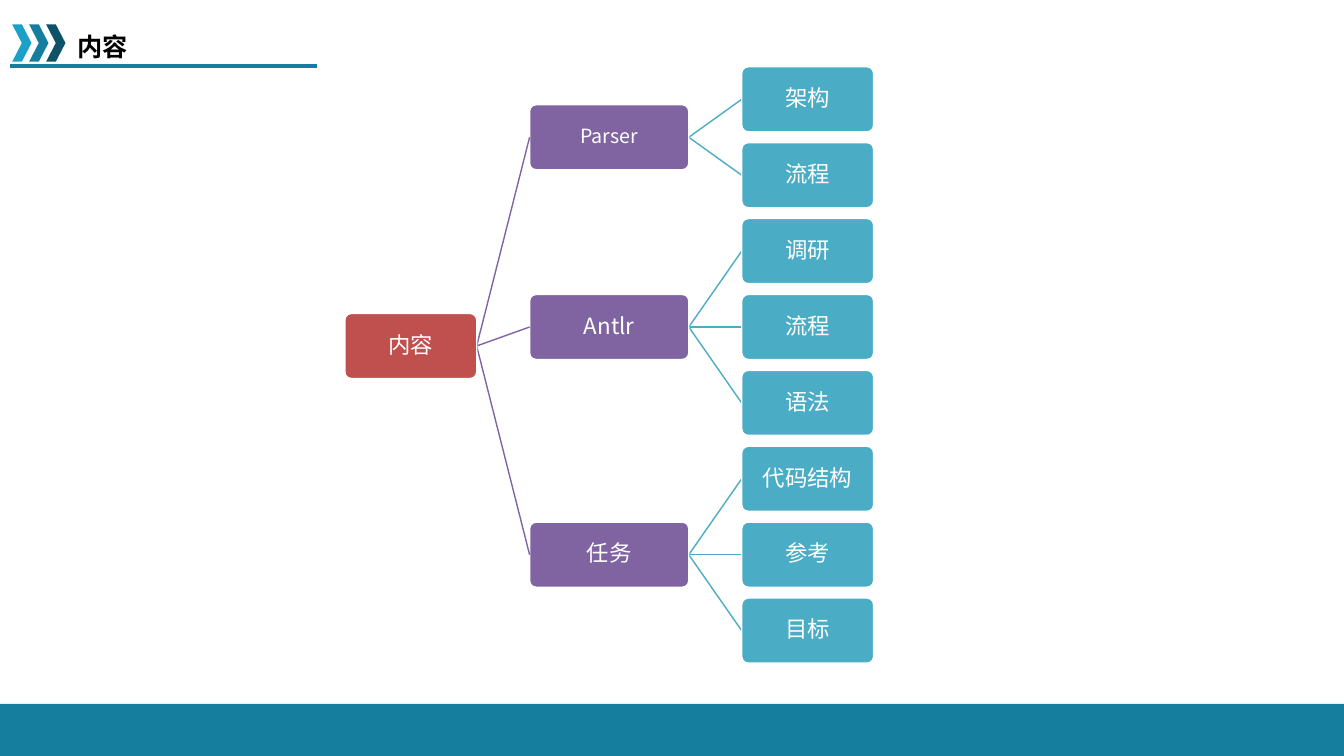
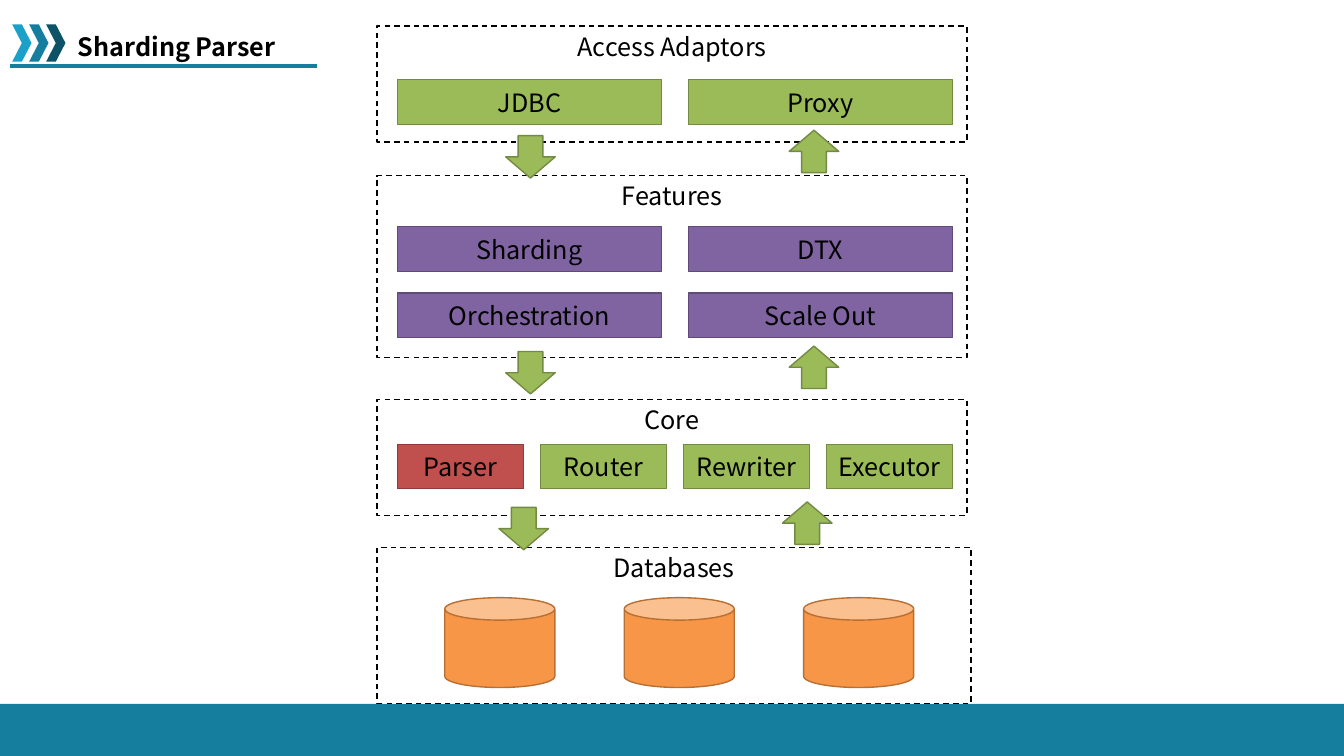
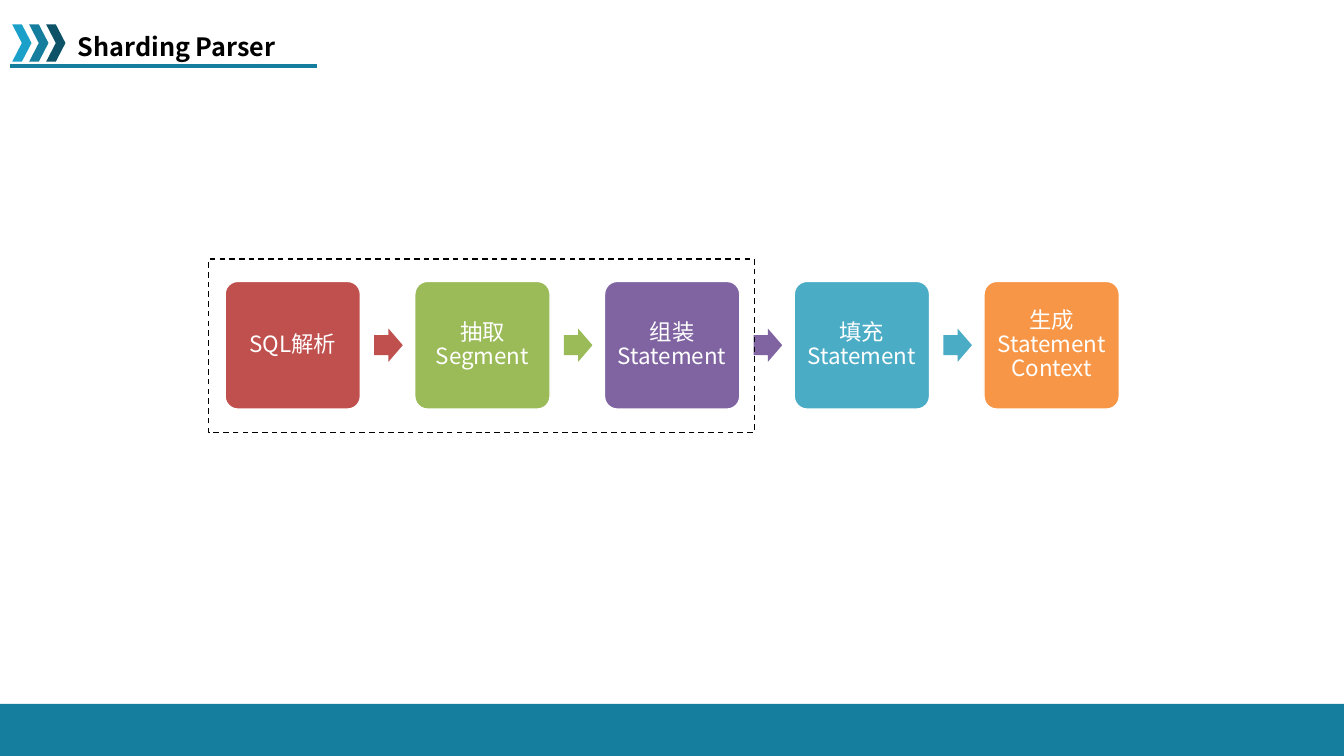
from collections import namedtuple

from lxml.etree import SubElement
from pptx import Presentation
from pptx.dml.color import RGBColor
from pptx.enum.dml import MSO_LINE
from pptx.enum.shapes import MSO_CONNECTOR, MSO_SHAPE as Shape
from pptx.enum.text import MSO_ANCHOR as Anchor, MSO_AUTO_SIZE, PP_ALIGN as Align
from pptx.oxml.ns import qn
from pptx.util import Inches, Pt

COLUMNS, ROWS = 160, 90
FONT = "Noto Sans CJK SC"
TEAL, SKY, NAVY = "157E9F", "1BA0C9", "0D5267"
RED, GREEN, PURPLE, AQUA, ORANGE = "C0504D", "9BBB59", "8064A2", "4BACC6", "F79646"
BLACK, WHITE = "000000", "FFFFFF"
EDGES = {RED: "8E3B39", GREEN: "738A42", PURPLE: "5F4A78", ORANGE: "B76F34"}

Box = namedtuple("Box", "left top width height")

deck = Presentation()
deck.slide_width, deck.slide_height = Inches(13.333), Inches(7.5)
layout = deck.slide_layouts[5]


def across(columns):
    return round(deck.slide_width * columns / COLUMNS)


def down(rows):
    return round(deck.slide_height * rows / ROWS)


def place(box):
    return across(box.left), down(box.top), across(box.width), down(box.height)


def color(value):
    return RGBColor.from_string(value)


def write(frame, text, size=18, ink=BLACK, bold=False, align=Align.CENTER,
          anchor=Anchor.MIDDLE, wrap=True, inset=None, spacing=1.0):
    frame.word_wrap = wrap
    frame.auto_size = MSO_AUTO_SIZE.NONE
    frame.vertical_anchor = anchor
    if inset is not None:
        frame.margin_left = frame.margin_right = Inches(inset)
        frame.margin_top = frame.margin_bottom = Inches(inset)
    para = frame.paragraphs[0]
    para.alignment = align
    para.line_spacing = spacing
    span = para.add_run()
    span.text = text
    span.font.size = Pt(size)
    span.font.bold = bold
    span.font.color.rgb = color(ink)
    span.font.name = FONT
    SubElement(span.font._element, qn("a:ea"), typeface=FONT)


def draw(page, kind, box, fill=None, line=None, dashed=False, adjust=()):
    shape = page.shapes.add_shape(kind, *place(box))
    shape.shadow.inherit = False
    if fill:
        shape.fill.solid()
        shape.fill.fore_color.rgb = color(fill)
    else:
        shape.fill.background()
    if line:
        shape.line.color.rgb = color(line)
        shape.line.width = Pt(1)
        if dashed:
            shape.line.dash_style = MSO_LINE.DASH
    else:
        shape.line.fill.background()
    for index, value in enumerate(adjust):
        shape.adjustments[index] = value
    return shape


def connect(page, start, end, ink, weight=1):
    line = page.shapes.add_connector(
        MSO_CONNECTOR.STRAIGHT, across(start[0]), down(start[1]), across(end[0]), down(end[1]))
    line.line.color.rgb = color(ink)
    line.line.width = Pt(weight)
    SubElement(line.element.spPr, qn("a:effectLst"))
    return line


def furnish_layout(page):
    parts = [draw(page, Shape.RECTANGLE, Box(0, 83.8, COLUMNS, 6.2), TEAL),
             connect(page, (1.2, 7.9), (37.7, 7.9), TEAL, 3)]
    for index, shade in enumerate((SKY, TEAL, NAVY)):
        parts.append(draw(page, Shape.CHEVRON, Box(1.45 + 2.02 * index, 2.9, 2.3, 4.45), shade))
    for number, part in enumerate(parts, 100):
        part.element[0][0].set("id", str(number))
        layout.shapes.element.append(part.element)


def add_page(title, width):
    page = deck.slides.add_slide(layout)
    heading = page.shapes.title
    heading.left, heading.top, heading.width, heading.height = place(Box(8.05, 3.1, width, 4.8))
    write(heading.text_frame, title, bold=True, align=Align.LEFT, anchor=Anchor.TOP, wrap=False)
    return page


def add_tree(page, box, root, branches):
    node_width, branch_width, node_height = 15.7, 18.95, 7.75
    gap = (box.width - 2 * node_width - branch_width) / 2
    branch_left = box.left + node_width + gap
    leaf_left = branch_left + branch_width + gap
    leaf_count = sum(len(leaves) for _, _, leaves in branches)
    pitch = (box.height - node_height) / (leaf_count - 1)

    def add_node(text, left, middle, width, fill, size=16):
        node = draw(page, Shape.ROUNDED_RECTANGLE,
                    Box(left, middle - node_height / 2, width, node_height), fill, WHITE, adjust=[0.1])
        write(node.text_frame, text, size=size, ink=WHITE, inset=0.01, spacing=0.9)

    middles = []
    middle = box.top + node_height / 2
    for name, size, leaves in branches:
        leaf_middles = [middle + pitch * index for index in range(len(leaves))]
        middle += pitch * len(leaves)
        center = sum(leaf_middles) / len(leaves)
        middles.append(center)
        for leaf, leaf_middle in zip(leaves, leaf_middles):
            connect(page, (branch_left + branch_width, center), (leaf_left, leaf_middle), AQUA)
            add_node(leaf, leaf_left, leaf_middle, node_width, AQUA)
        add_node(name, branch_left, center, branch_width, PURPLE, size)
    root_middle = (middles[0] + middles[-1]) / 2
    for center in middles:
        connect(page, (box.left + node_width, root_middle), (branch_left, center), PURPLE)
    add_node(root, box.left, root_middle, node_width, RED)


def add_panel(page, box, title):
    panel = draw(page, Shape.RECTANGLE, box, WHITE, BLACK, dashed=True)
    write(panel.text_frame, title, anchor=Anchor.TOP)


def add_layer(page, box, title, first_row, cell_width, rows):
    add_panel(page, box, title)
    margin, inner_width = 2.4, 66.1
    for row, cells in enumerate(rows):
        pitch = (inner_width - cell_width) / (len(cells) - 1)
        for column, (text, fill) in enumerate(cells):
            cell = draw(page, Shape.RECTANGLE,
                        Box(box.left + margin + pitch * column, box.top + first_row + 7.9 * row,
                            cell_width, 5.3), fill, EDGES[fill])
            write(cell.text_frame, text, inset=0.05)


def add_databases(page, box, count):
    add_panel(page, box, "Databases")
    for index in range(count):
        draw(page, Shape.CAN, Box(box.left + 8.05 + 21.36 * index, box.top + 6, 13.1, 10.7),
             ORANGE, EDGES[ORANGE])


def add_arrow_pair(page, left, top):
    draw(page, Shape.DOWN_ARROW, Box(left, top, 5.9, 5.05), GREEN, EDGES[GREEN])
    draw(page, Shape.UP_ARROW, Box(left + 33.75, top - 0.65, 5.9, 5.05), GREEN, EDGES[GREEN])


def add_process(page, box, steps):
    step_width = 16.1
    pitch = (box.width - step_width) / (len(steps) - 1)
    for index, (text, fill) in enumerate(steps):
        left = box.left + pitch * index
        step = draw(page, Shape.ROUNDED_RECTANGLE, Box(left, box.top, step_width, box.height),
                    fill, WHITE, adjust=[0.1])
        write(step.text_frame, text, size=16, ink=WHITE, inset=0.07, spacing=0.9)
        if index < len(steps) - 1:
            draw(page, Shape.RIGHT_ARROW,
                 Box(left + 17.75, box.top + (box.height - 3.95) / 2, 3.4, 3.95),
                 fill, adjust=[0.6, 0.5])


contents = add_page("内容", 8.5)
furnish_layout(contents)
add_tree(contents, Box(41.05, 7.95, 62.95, 71), "内容", [
    ("Parser", 14, ["架构", "流程"]),
    ("Antlr", 16, ["调研", "流程", "语法"]),
    ("任务", 16, ["代码结构", "参考", "目标"]),
])

architecture = add_page("Sharding Parser", 26.5)
add_layer(architecture, Box(44.9, 3.1, 70.2, 13.8), "Access Adaptors", 6.4, 31.45,
          [[("JDBC", GREEN), ("Proxy", GREEN)]])
add_layer(architecture, Box(44.9, 20.9, 70.2, 21.7), "Features", 6.1, 31.45,
          [[("Sharding", PURPLE), ("DTX", PURPLE)],
           [("Orchestration", PURPLE), ("Scale Out", PURPLE)]])
add_layer(architecture, Box(44.9, 47.55, 70.2, 13.8), "Core", 5.35, 15,
          [[("Parser", RED), ("Router", GREEN), ("Rewriter", GREEN), ("Executor", GREEN)]])
add_databases(architecture, Box(44.9, 65.15, 70.7, 18.6), 3)
for arrow_left, arrow_top in ((60.2, 16.15), (60.2, 41.85), (59.4, 60.4)):
    add_arrow_pair(architecture, arrow_left, arrow_top)

workflow = add_page("Sharding Parser", 26.5)
add_process(workflow, Box(26.8, 33.5, 106.45, 15.2), [
    ("SQL解析", RED),
    ("抽取Segment", GREEN),
    ("组装Statement", PURPLE),
    ("填充Statement", AQUA),
    ("生成StatementContext", ORANGE),
])
draw(workflow, Shape.RECTANGLE, Box(24.85, 30.85, 64.95, 20.65), line=BLACK, dashed=True)

deck.save("out.pptx")
